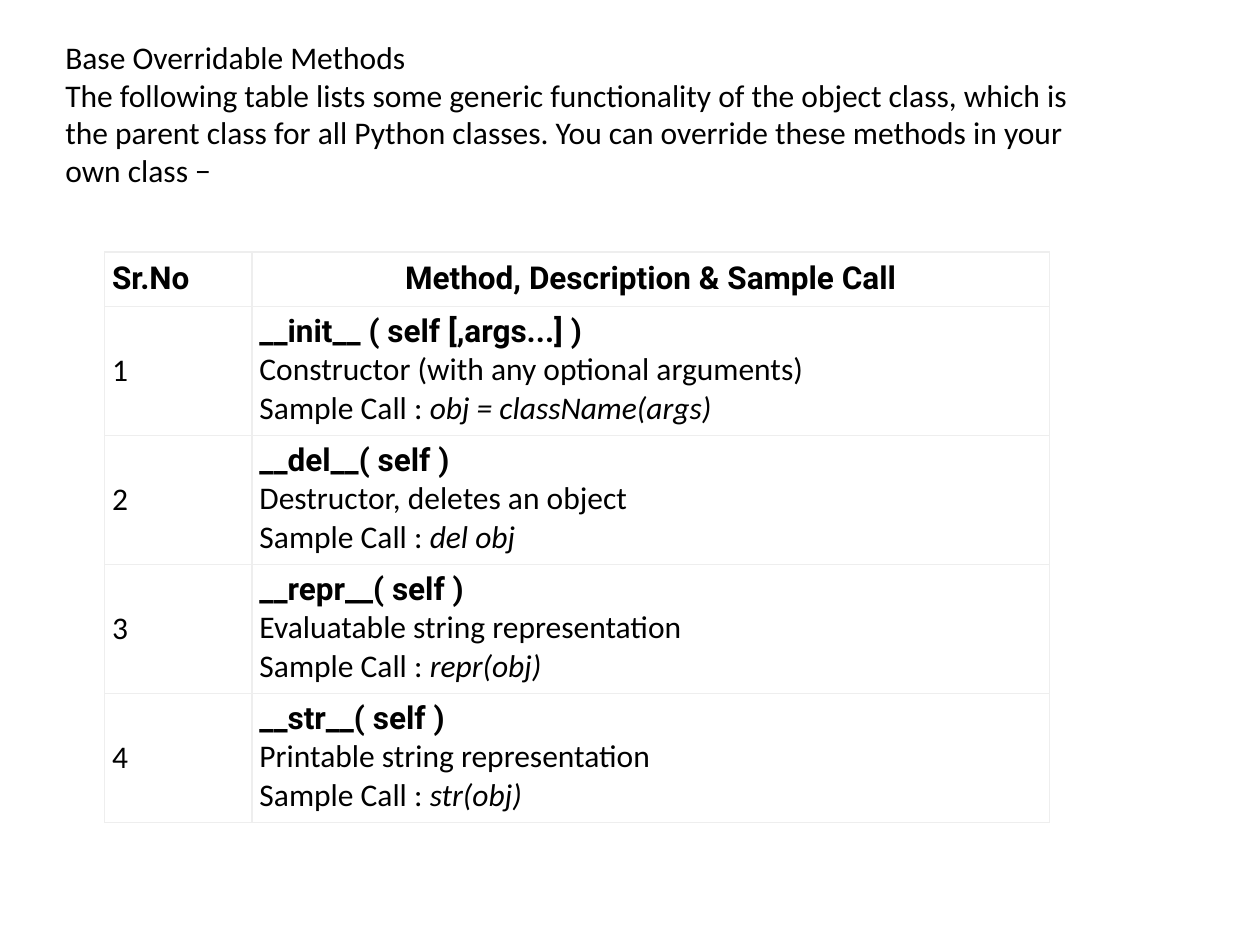
from lxml.etree import SubElement
from pptx import Presentation
from pptx.dml.color import RGBColor
from pptx.enum.text import MSO_ANCHOR, MSO_AUTO_SIZE, PP_ALIGN
from pptx.oxml.ns import qn
from pptx.util import Inches, Pt

COLORS = {"text": "000000", "line": "EEEEEE"}
BODY, HEAD = "Calibri", "Roboto"
INTRO = [
    "Base Overridable Methods",
    "The following table lists some generic functionality of the object class, "
    "which is the parent class for all Python classes. You can override these "
    "methods in your own class −",
]
TITLES = ["Sr.No", "Method, Description & Sample Call"]
CALL = "Sample Call : "
METHODS = [
    ("__init__ ( self [,args...] )", "Constructor (with any optional arguments)",
     "obj = className(args)"),
    ("__del__( self )", "Destructor, deletes an object", "del obj"),
    ("__repr__( self )", "Evaluatable string representation", "repr(obj)"),
    ("__str__( self )", "Printable string representation", "str(obj)"),
]


def add_run(para, text, face=BODY, bold=False, slant=False):
    run = para.add_run()
    run.text = text
    font = run.font
    font.name, font.size = face, Pt(18)
    font.bold, font.italic = bold, slant
    font.color.rgb = RGBColor.from_string(COLORS["text"])


def add_head(para, text):
    add_run(para, text, HEAD, bold=True)


def add_intro(slide):
    box = slide.shapes.add_textbox(Inches(0.42), Inches(0.25), Inches(8.5), Inches(1.31))
    frame = box.text_frame
    frame.word_wrap = True
    frame.auto_size = MSO_AUTO_SIZE.SHAPE_TO_FIT_TEXT
    add_run(frame.paragraphs[0], INTRO[0])
    add_run(frame.add_paragraph(), INTRO[1])


def set_cell(cell):
    cell.vertical_anchor = MSO_ANCHOR.MIDDLE
    cell.margin_left = cell.margin_right = Inches(0.06)
    cell.margin_top = cell.margin_bottom = Inches(0.06)
    props = cell._tc.get_or_add_tcPr()
    for side in ("a:lnL", "a:lnR", "a:lnT", "a:lnB"):
        line = SubElement(props, qn(side), w=str(Pt(0.75)))
        fill = SubElement(line, qn("a:solidFill"))
        SubElement(fill, qn("a:srgbClr"), val=COLORS["line"])
    cell.fill.background()


def fill_row(table, row, method):
    name, about, call = method
    add_run(table.cell(row, 0).text_frame.paragraphs[0], str(row))
    frame = table.cell(row, 1).text_frame
    add_head(frame.paragraphs[0], name)
    add_run(frame.add_paragraph(), about)
    last = frame.add_paragraph()
    add_run(last, CALL)
    add_run(last, call, slant=True)


def add_grid(slide):
    rows = len(METHODS) + 1
    table = slide.shapes.add_table(
        rows, 2, Inches(0.83), Inches(2), Inches(7.5), Inches(4.39)).table
    table.first_row = table.horz_banding = False
    for col, width in zip(table.columns, (1.17, 6.33)):
        col.width = Inches(width)
    for i, row in enumerate(table.rows):
        row.height = Inches(1.01 if i else 0.43)
    for cell in table.iter_cells():
        set_cell(cell)
    for col, title in enumerate(TITLES):
        para = table.cell(0, col).text_frame.paragraphs[0]
        para.alignment = PP_ALIGN.CENTER if col else PP_ALIGN.LEFT
        add_head(para, title)
    for row, method in enumerate(METHODS, 1):
        fill_row(table, row, method)


def main():
    deck = Presentation()
    deck.slide_width, deck.slide_height = Inches(10), Inches(7.5)
    slide = deck.slides.add_slide(deck.slide_layouts[6])
    add_grid(slide)
    add_intro(slide)
    deck.save("out.pptx")


if __name__ == "__main__":
    main()
